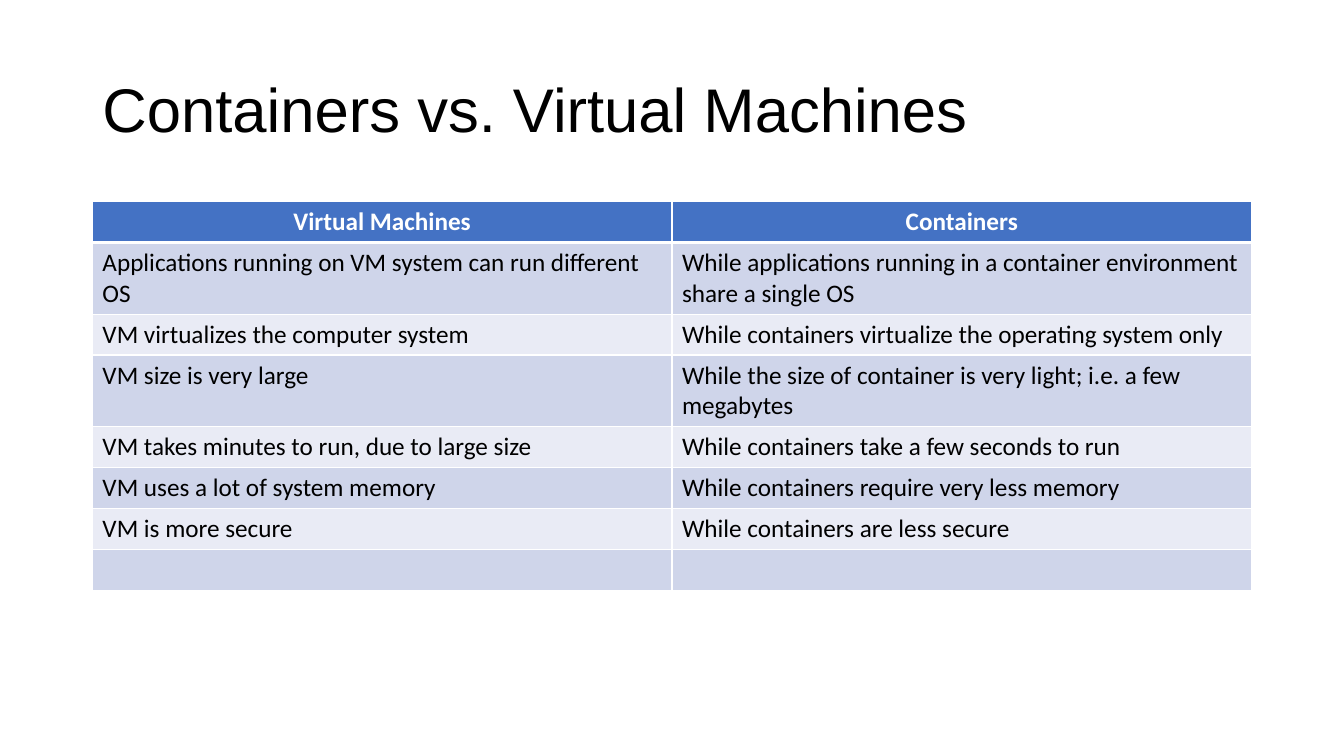
from lxml.etree import SubElement
from pptx import Presentation
from pptx.dml.color import RGBColor
from pptx.enum.text import MSO_ANCHOR, PP_ALIGN
from pptx.oxml.ns import qn
from pptx.util import Pt

PX = 9525
BLACK = RGBColor(0x00, 0x00, 0x00)
WHITE = RGBColor(0xFF, 0xFF, 0xFF)
HEADER_BLUE = RGBColor(0x44, 0x72, 0xC4)
BAND_DARK = RGBColor(0xCF, 0xD5, 0xEA)
BAND_LIGHT = RGBColor(0xE9, 0xEB, 0xF5)

COMPARISON = [
    ("Virtual Machines", "Containers"),
    ("Applications running on VM system can run different OS",
     "While applications running in a container environment share a single OS"),
    ("VM virtualizes the computer system",
     "While containers virtualize the operating system only"),
    ("VM size is very large",
     "While the size of container is very light; i.e. a few megabytes"),
    ("VM takes minutes to run, due to large size",
     "While containers take a few seconds to run"),
    ("VM uses a lot of system memory",
     "While containers require very less memory"),
    ("VM is more secure", "While containers are less secure"),
    ("", ""),
]


def write(paragraph, text, color, **font_format):
    run = paragraph.add_run()
    run.text = text
    run.font.color.rgb = color
    for name, value in font_format.items():
        setattr(run.font, name, value)


def add_border(cell, side, points):
    line = SubElement(cell._tc.get_or_add_tcPr(), qn(f"a:ln{side}"), w=str(Pt(points)))
    fill = SubElement(line, qn("a:solidFill"))
    SubElement(fill, qn("a:srgbClr"), val=str(WHITE))


deck = Presentation()
deck.slide_width, deck.slide_height = 1280 * PX, 720 * PX
slide = deck.slides.add_slide(deck.slide_layouts[5])

title = slide.shapes.title
title.left, title.top, title.width, title.height = [n * PX for n in (88, 38, 1104, 139)]
title.text_frame.vertical_anchor = MSO_ANCHOR.MIDDLE
heading = title.text_frame.paragraphs[0]
heading.alignment = PP_ALIGN.LEFT
heading.line_spacing = 0.9
write(heading, "Containers vs. Virtual Machines", BLACK, name="Arial", size=Pt(44))

table = slide.shapes.add_table(
    len(COMPARISON), 2, 88 * PX, 192 * PX, 1104 * PX, len(COMPARISON) * 39 * PX).table

for r, entries in enumerate(COMPARISON):
    is_header = r == 0
    band = HEADER_BLUE if is_header else BAND_DARK if r % 2 else BAND_LIGHT
    for c, entry in enumerate(entries):
        cell = table.cell(r, c)
        for side in "LRTB":
            under_header = (r, side) in [(0, "B"), (1, "T")]
            add_border(cell, side, 3 if under_header else 1)
        cell.fill.solid()
        cell.fill.fore_color.rgb = band
        if entry:
            paragraph = cell.text_frame.paragraphs[0]
            paragraph.alignment = PP_ALIGN.CENTER if is_header else PP_ALIGN.LEFT
            write(paragraph, entry, WHITE if is_header else BLACK,
                  name="Calibri", size=Pt(18), bold=is_header)

deck.save("out.pptx")
